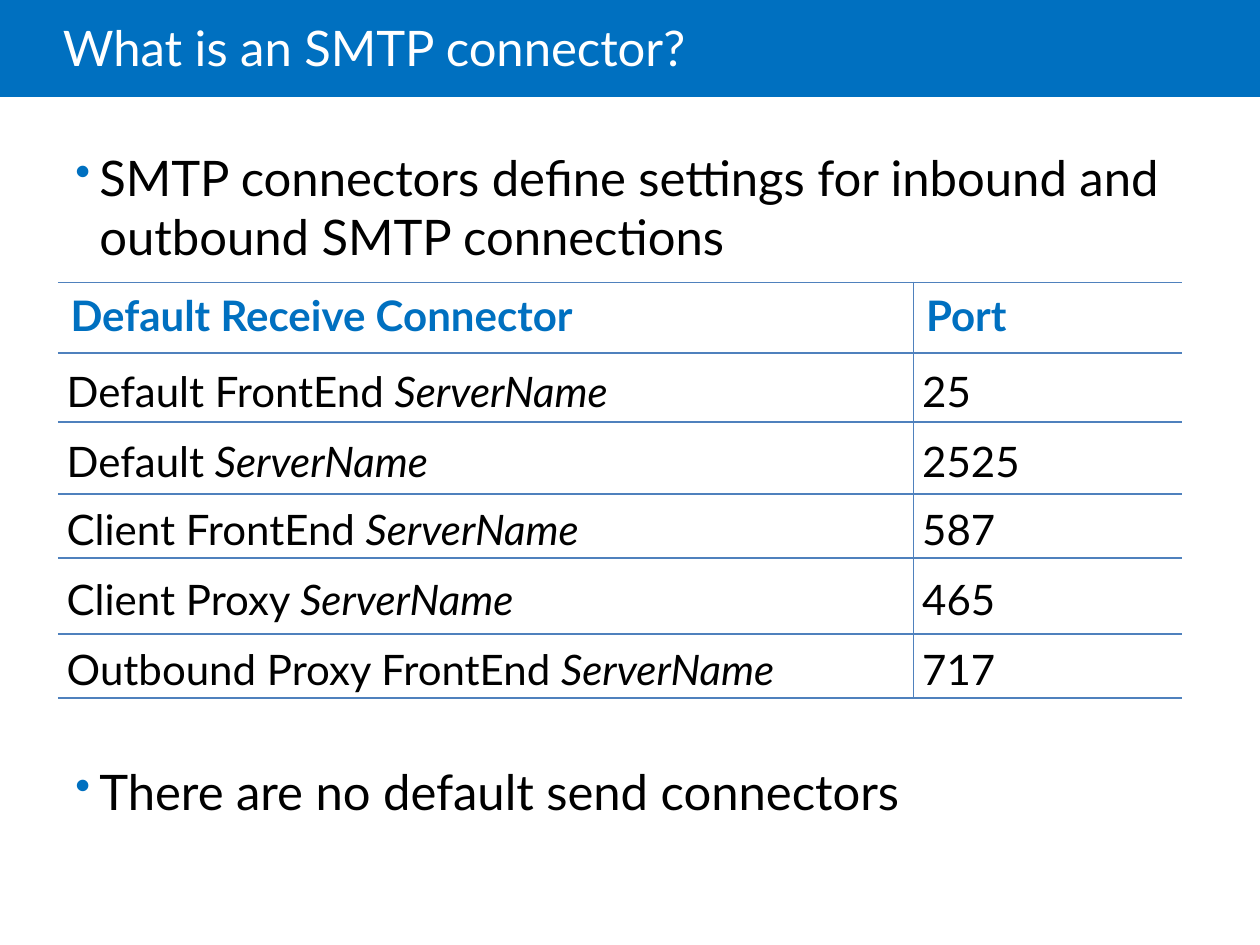
from dataclasses import dataclass

from lxml.etree import SubElement
from pptx import Presentation
from pptx.dml.color import RGBColor
from pptx.enum.shapes import MSO_SHAPE
from pptx.enum.text import MSO_ANCHOR
from pptx.oxml import parse_xml
from pptx.oxml.ns import nsdecls, qn
from pptx.util import Inches, Pt


@dataclass(frozen=True)
class Theme:
    """Colours, font and type sizes of the slide."""
    font: str = "Lato"
    accent: str = "0070C0"
    rule: str = "4F81BD"
    ink: str = "000000"
    paper: str = "FFFFFF"
    text_size: int = 28
    table_size: int = 24


THEME = Theme()
HEADINGS = ("Default Receive Connector", "Port")
CONNECTORS = (
    ("Default FrontEnd ", "25"),
    ("Default ", "2525"),
    ("Client FrontEnd ", "587"),
    ("Client Proxy ", "465"),
    ("Outbound Proxy FrontEnd ", "717"),
)
COLUMN_WIDTHS = (6.79, 2.13)
ROW_HEIGHTS = (0.52, 0.55, 0.57, 0.51, 0.6, 0.51)
BULLETS = (
    ("SMTP connectors define settings for inbound and outbound SMTP connections", 6),
    ("There are no default send connectors", 284),
)


def apply_format(target, values):
    """Set each attribute named in a dict of format values."""
    for name, value in values.items():
        setattr(target, name, value)


def add_span(para, text, color, size, **values):
    """Append a run of text in the theme font."""
    span = para.add_run()
    span.text = text
    apply_format(span.font, {"name": THEME.font, "size": Pt(size), **values})
    span.font.color.rgb = RGBColor.from_string(color)


def add_banner(page, width, height):
    """Draw the coloured band along the top edge."""
    banner = page.shapes.add_shape(MSO_SHAPE.RECTANGLE, 0, 0, Inches(width), Inches(height))
    banner.shadow.inherit = False
    banner.fill.solid()
    banner.fill.fore_color.rgb = RGBColor.from_string(THEME.accent)
    banner.line.fill.background()


def add_text_box(page, left, top, width, height, **values):
    """Add a wrapping text box and return its text frame."""
    box = page.shapes.add_textbox(*map(Inches, (left, top, width, height)))
    apply_format(box.text_frame, {"word_wrap": True, **values})
    return box.text_frame


def add_title(page, text):
    """Write the slide title over the banner."""
    frame = add_text_box(page, 0.5, 0, 8.5, 0.81, margin_left=0,
                         vertical_anchor=MSO_ANCHOR.MIDDLE)
    para = frame.paragraphs[0]
    para.line_spacing = 0.85
    add_span(para, text, THEME.paper, THEME.text_size)


def set_bullet(para):
    """Give a paragraph a hanging coloured bullet."""
    properties = para._p.get_or_add_pPr()
    indent = Inches(0.19)
    properties.set("marL", str(indent))
    properties.set("indent", str(-indent))
    color = SubElement(properties, qn("a:buClr"))
    SubElement(color, qn("a:srgbClr"), val=THEME.accent)
    SubElement(properties, qn("a:buSzPct"), val="90000")
    SubElement(properties, qn("a:buChar"), char="•")


def add_bullets(page, bullets):
    """Write the bullets, spaced to leave room for the table."""
    frame = add_text_box(page, 0.5, 1.12, 8.88, 5.63)
    for index, (text, gap) in enumerate(bullets):
        para = frame.add_paragraph() if index else frame.paragraphs[0]
        para.space_before = Pt(gap)
        set_bullet(para)
        add_span(para, text, THEME.ink, THEME.text_size)


def set_borders(cell, sides):
    """Rule the named sides of a cell and clear the others."""
    properties = cell._tc.get_or_add_tcPr()
    for index, side in enumerate("LRTB"):
        paint = (f'<a:solidFill><a:srgbClr val="{THEME.rule}"/></a:solidFill>'
                 if side in sides else "<a:noFill/>")
        line = f'<a:ln{side} {nsdecls("a")} w="{Pt(1)}">{paint}</a:ln{side}>'
        properties.insert(index, parse_xml(line))


def format_cell(cell, sides, side_margin, end_margin, spacing):
    """Set fill, margins and borders, and return the cell's paragraph."""
    apply_format(cell, {
        "margin_left": Inches(side_margin),
        "margin_right": Inches(side_margin),
        "margin_top": Inches(end_margin),
        "margin_bottom": Inches(end_margin),
        "vertical_anchor": MSO_ANCHOR.MIDDLE,
    })
    cell.fill.background()
    set_borders(cell, sides)
    para = cell.text_frame.paragraphs[0]
    para.line_spacing = spacing
    return para


def add_connector_table(page):
    """Add the table of default receive connectors and ports."""
    frame = page.shapes.add_table(
        len(ROW_HEIGHTS), len(COLUMN_WIDTHS), Inches(0.46), Inches(2.24),
        Inches(sum(COLUMN_WIDTHS)), Inches(sum(ROW_HEIGHTS)))
    table = frame.table
    apply_format(table, {"first_row": False, "horz_banding": False})
    for column, width in zip(table.columns, COLUMN_WIDTHS):
        column.width = Inches(width)
    for row, height in zip(table.rows, ROW_HEIGHTS):
        row.height = Inches(height)
    borders = ("RTB", "LTB")
    for column, heading in enumerate(HEADINGS):
        para = format_cell(table.cell(0, column), borders[column], 0.1, 0.1, 0.9)
        add_span(para, heading, THEME.accent, THEME.table_size, bold=True)
    for row, texts in enumerate(CONNECTORS, start=1):
        for column, text in enumerate(texts):
            para = format_cell(table.cell(row, column), borders[column], 0.07, 0, 1.14)
            add_span(para, text, THEME.ink, THEME.table_size, bold=False)
            if column == 0:
                add_span(para, "ServerName", THEME.ink, THEME.table_size,
                         bold=False, italic=True)


def main():
    """Build the slide and save the deck."""
    deck = Presentation()
    apply_format(deck, {"slide_width": Inches(10), "slide_height": Inches(7.5)})
    page = deck.slides.add_slide(deck.slide_layouts[6])
    add_banner(page, 10, 0.77)
    add_title(page, "What is an SMTP connector?")
    add_bullets(page, BULLETS)
    add_connector_table(page)
    deck.save("out.pptx")


if __name__ == "__main__":
    main()
